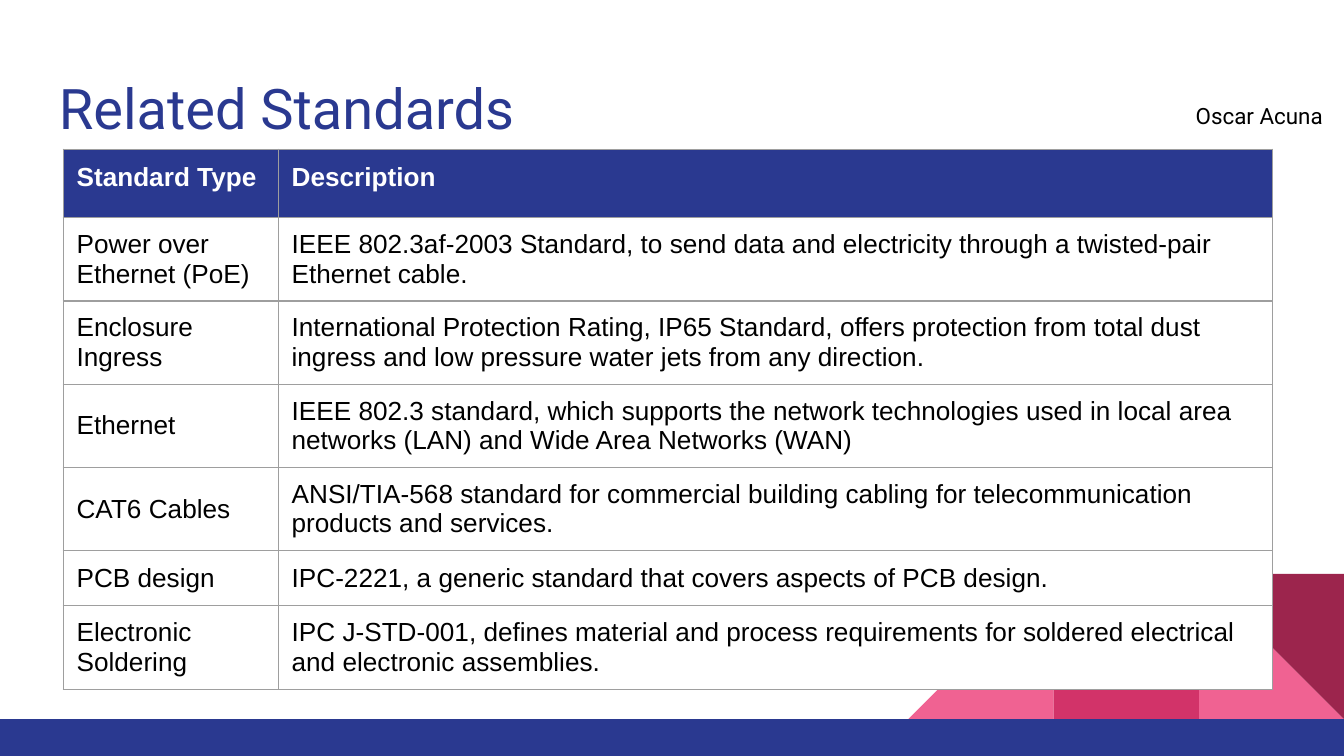
from lxml.etree import SubElement
from pptx import Presentation
from pptx.dml.color import RGBColor
from pptx.enum.shapes import MSO_SHAPE
from pptx.enum.text import MSO_ANCHOR, PP_ALIGN
from pptx.oxml.ns import qn
from pptx.util import Inches, Pt

NAVY = RGBColor(0x2A, 0x39, 0x90)
PINK = RGBColor(0xF0, 0x62, 0x92)
ROSE = RGBColor(0xD2, 0x33, 0x69)
WINE = RGBColor(0x9C, 0x25, 0x4D)
GREY = RGBColor(0x9E, 0x9E, 0x9E)
WHITE = RGBColor(0xFF, 0xFF, 0xFF)
BLACK = RGBColor(0, 0, 0)

SLIDE_WIDTH = 10
SLIDE_HEIGHT = SLIDE_WIDTH * 9 / 16
COLUMN_WIDTHS = (1.6, 7.4)
ROW_HEIGHTS = (0.51, 0.62, 0.62, 0.62, 0.62, 0.41, 0.62)
STANDARDS = (
    ("Standard Type", "Description"),
    ("Power over Ethernet (PoE)",
     "IEEE 802.3af-2003 Standard, to send data and electricity through a "
     "twisted-pair Ethernet cable."),
    ("Enclosure Ingress",
     "International Protection Rating, IP65 Standard, offers protection from "
     "total dust ingress and low pressure water jets from any direction."),
    ("Ethernet",
     "IEEE 802.3 standard, which supports the network technologies used in "
     "local area networks (LAN) and Wide Area Networks (WAN)"),
    ("CAT6 Cables",
     "ANSI/TIA-568 standard for commercial building cabling for "
     "telecommunication products and services."),
    ("PCB design",
     "IPC-2221, a generic standard that covers aspects of PCB design."),
    ("Electronic Soldering",
     "IPC J-STD-001, defines material and process requirements for soldered "
     "electrical and electronic assemblies."),
)


def add_span(para, text, font_name, size, color, bold=False):
    span = para.add_run()
    span.text = text
    span.font.name = font_name
    span.font.size = Pt(size)
    span.font.color.rgb = color
    span.font.bold = bold


def add_block(page, preset, left, top, width, height, color):
    block = page.shapes.add_shape(
        preset, Inches(left), Inches(top), Inches(width), Inches(height))
    block.shadow.inherit = False
    block.fill.solid()
    block.fill.fore_color.rgb = color
    block.line.fill.background()
    return block


def add_corner_decoration(page, left, top, side):
    """Place three square tiles in a row, the last one split diagonally."""
    triangle, square = MSO_SHAPE.RIGHT_TRIANGLE, MSO_SHAPE.RECTANGLE
    tiles = ((2, triangle, PINK), (0, triangle, PINK),
             (1, square, ROSE), (2, triangle, WINE))
    blocks = [add_block(page, preset, left + column * side, top, side, side, color)
              for column, preset, color in tiles]
    blocks[1].element.spPr.find(qn("a:xfrm")).set("flipH", "1")
    blocks[3].rotation = 180


def add_footer_band(page, top):
    add_block(page, MSO_SHAPE.RECTANGLE, 0, top, SLIDE_WIDTH,
              SLIDE_HEIGHT - top, NAVY)


def add_label(page, left, top, width, height, text, size, color,
              alignment=PP_ALIGN.LEFT):
    box = page.shapes.add_textbox(
        Inches(left), Inches(top), Inches(width), Inches(height))
    frame = box.text_frame
    frame.word_wrap = True
    frame.margin_left = frame.margin_right = Inches(0.1)
    frame.margin_top = frame.margin_bottom = Inches(0.1)
    para = frame.paragraphs[0]
    para.alignment = alignment
    add_span(para, text, "Roboto", size, color)


def set_borders(cell, color, width):
    properties = cell._tc.get_or_add_tcPr()
    for index, side in enumerate(("lnL", "lnR", "lnT", "lnB")):
        line = properties.makeelement(qn(f"a:{side}"), {"w": str(Pt(width))})
        fill = SubElement(line, qn("a:solidFill"))
        SubElement(fill, qn("a:srgbClr"), val=str(color))
        properties.insert(index, line)


def fill_cell(cell, text, is_header):
    cell.fill.solid()
    cell.fill.fore_color.rgb = NAVY if is_header else WHITE
    cell.vertical_anchor = MSO_ANCHOR.TOP if is_header else MSO_ANCHOR.MIDDLE
    cell.margin_left = cell.margin_right = Inches(0.1)
    cell.margin_top = cell.margin_bottom = Inches(0.1 if is_header else 0)
    add_span(cell.text_frame.paragraphs[0], text, "Arial", 14,
             WHITE if is_header else BLACK, is_header)
    set_borders(cell, GREY, 0.75)


def add_standards_table(page, left, top):
    table = page.shapes.add_table(
        len(STANDARDS), len(COLUMN_WIDTHS), Inches(left), Inches(top),
        Inches(sum(COLUMN_WIDTHS)), Inches(sum(ROW_HEIGHTS))).table
    table.horz_banding = False
    for column, width in zip(table.columns, COLUMN_WIDTHS):
        column.width = Inches(width)
    for row_index, (row, height) in enumerate(zip(table.rows, ROW_HEIGHTS)):
        row.height = Inches(height)
        for cell, text in zip(row.cells, STANDARDS[row_index]):
            fill_cell(cell, text, row_index == 0)


def main():
    deck = Presentation()
    deck.slide_width = Inches(SLIDE_WIDTH)
    deck.slide_height = Inches(SLIDE_HEIGHT)
    page = deck.slides.add_slide(deck.slide_layouts[6])
    add_corner_decoration(page, 6.76, 4.27, 1.08)
    add_footer_band(page, 5.35)
    add_label(page, 0.34, 0.45, 9.32, 0.66, "Related Standards", 30, NAVY)
    add_standards_table(page, 0.47, 1.11)
    add_label(page, 8.78, 0.66, 1.18, 0.4, "Oscar Acuna", 12, BLACK,
              PP_ALIGN.CENTER)
    deck.save("out.pptx")


if __name__ == "__main__":
    main()
